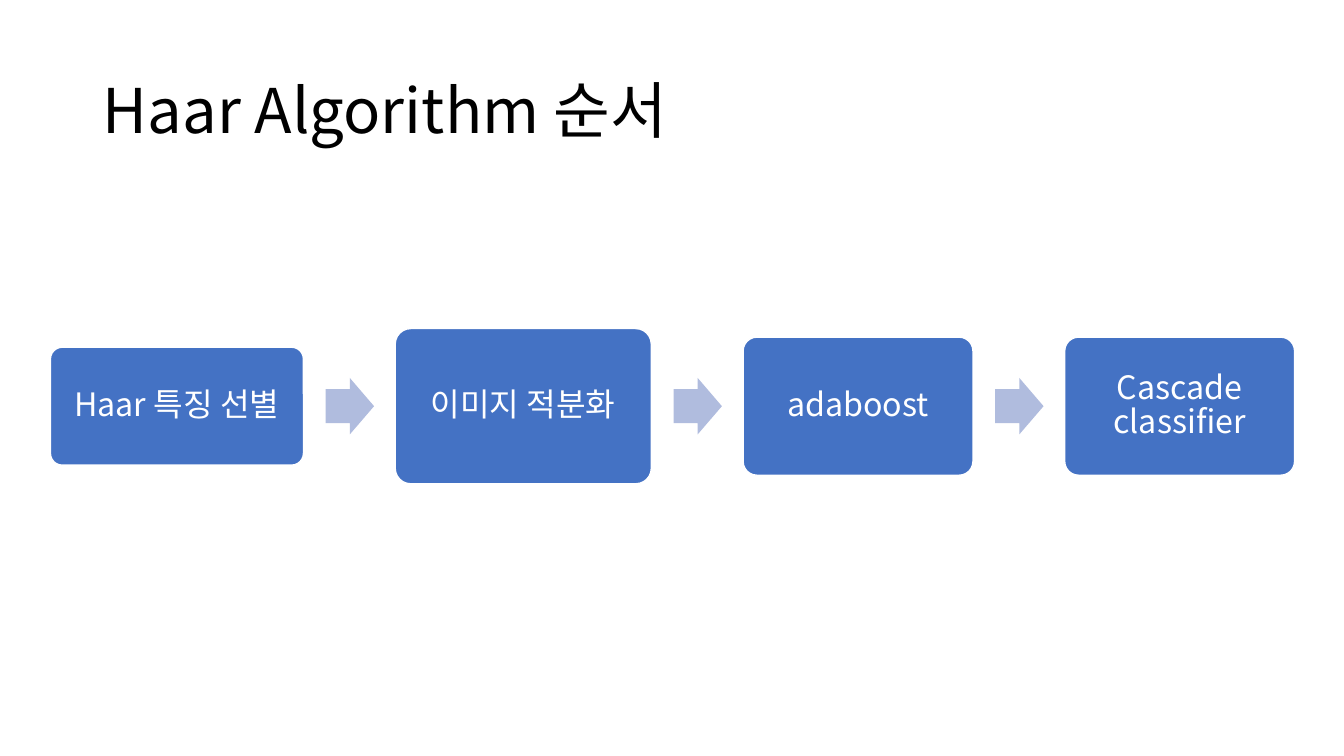
from lxml import etree
from pptx import Presentation
from pptx.dml.color import RGBColor
from pptx.enum.shapes import MSO_SHAPE
from pptx.enum.text import MSO_ANCHOR, PP_ALIGN
from pptx.oxml.ns import qn
from pptx.util import Inches, Pt

ROUNDED = MSO_SHAPE.ROUNDED_RECTANGLE
ARROW = MSO_SHAPE.RIGHT_ARROW
MIDDLE = MSO_ANCHOR.MIDDLE
LEFT, CENTER = PP_ALIGN.LEFT, PP_ALIGN.CENTER

FONT = "Noto Sans CJK KR"
COLORS = {"title": "000000", "step": "4472C4", "arrow": "B0BCDE", "white": "FFFFFF"}
TITLE_LAYOUT = 5

# Label, width and height of each step
STEPS = [
    ("Haar 특징 선별", 2.51, 1.17),
    ("이미지 적분화", 2.54, 1.54),
    ("adaboost", 2.28, 1.37),
    ("Cascade classifier", 2.28, 1.37),
]
ARROW_WIDTH, ARROW_HEIGHT = 0.48, 0.56
GAP_BEFORE, GAP_AFTER = 0.22, 0.21


def color(name):
    return RGBColor.from_string(COLORS[name])


def write_text(shape, text, size, color_name, alignment):
    frame = shape.text_frame
    frame.text = text
    frame.word_wrap = True
    frame.vertical_anchor = MIDDLE
    paragraph = frame.paragraphs[0]
    paragraph.alignment = alignment
    paragraph.line_spacing = 0.9
    font = paragraph.runs[0].font
    font.size = Pt(size)
    font.name = FONT
    font.color.rgb = color(color_name)
    # East Asian typeface for the Korean words
    east_asian = etree.SubElement(paragraph.runs[0]._r.rPr, qn("a:ea"))
    east_asian.set("typeface", FONT)


def add_title(slide, left, top, width, height):
    title = slide.shapes.title
    title.left, title.top = Inches(left), Inches(top)
    title.width, title.height = Inches(width), Inches(height)
    write_text(title, "Haar Algorithm 순서", 44, "title", LEFT)


def add_block(slide, kind, left, middle, width, height, fill):
    """Add a filled shape centred vertically on the middle line."""
    block = slide.shapes.add_shape(kind, Inches(left), Inches(middle - height / 2),
                                   Inches(width), Inches(height))
    block.shadow.inherit = False
    block.fill.solid()
    block.fill.fore_color.rgb = color(fill)
    return block


def add_step(slide, label, left, middle, width, height):
    step = add_block(slide, ROUNDED, left, middle, width, height, "step")
    step.adjustments[0] = 0.1
    step.line.color.rgb = color("white")
    step.line.width = Pt(1)
    frame = step.text_frame
    frame.margin_left = frame.margin_right = Inches(0.1)
    frame.margin_top = frame.margin_bottom = Inches(0.1)
    write_text(step, label, 23, "white", CENTER)


def add_arrow(slide, left, middle):
    arrow = add_block(slide, ARROW, left, middle, ARROW_WIDTH, ARROW_HEIGHT, "arrow")
    arrow.adjustments[0] = 0.6
    arrow.adjustments[1] = 0.5
    arrow.line.fill.background()


def add_process(slide, left, middle):
    """Lay the steps out from left to right with an arrow between neighbours."""
    for index, (label, width, height) in enumerate(STEPS):
        if index:
            left += GAP_BEFORE
            add_arrow(slide, left, middle)
            left += ARROW_WIDTH + GAP_AFTER
        add_step(slide, label, left, middle, width, height)
        left += width


def main():
    presentation = Presentation()
    presentation.slide_width = Inches(13.33)
    presentation.slide_height = Inches(7.5)
    slide = presentation.slides.add_slide(presentation.slide_layouts[TITLE_LAYOUT])
    add_title(slide, 0.92, 0.4, 11.5, 1.45)
    add_process(slide, 0.5, 4.03)
    presentation.save("out.pptx")


if __name__ == "__main__":
    main()
